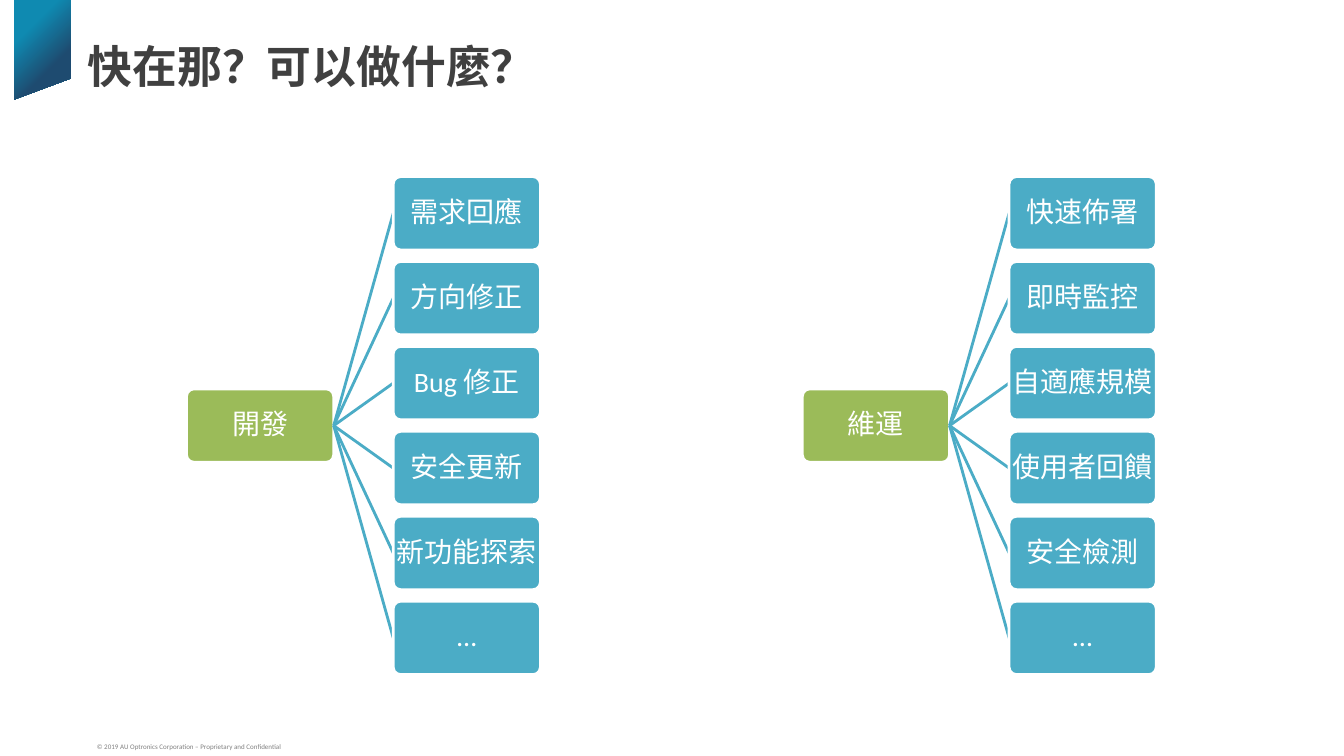
from lxml import etree
from pptx import Presentation
from pptx.dml.color import RGBColor
from pptx.enum import shapes, text
from pptx.oxml import ns
from pptx.util import Cm, Pt

WHITE = RGBColor(0xFF, 0xFF, 0xFF)
GREEN = RGBColor(0x9B, 0xBB, 0x59)
TEAL = RGBColor(0x4B, 0xAC, 0xC6)
BRIGHT_BLUE = RGBColor(0x0F, 0x8A, 0xB1)
DARK_BLUE = RGBColor(0x1E, 0x4B, 0x70)
TITLE_GREY = RGBColor(0x40, 0x40, 0x40)
FOOTER_GREY = RGBColor(0x80, 0x80, 0x80)

BOX_WIDTH, BOX_HEIGHT = 3.71, 1.85
TOP, ROW_STEP = 4.45, 2.14
BRANCH_OFFSET = 5.21

TREES = [
    (4.7, "開發", ["需求回應", "方向修正", "Bug 修正", "安全更新", "新功能探索", "…"]),
    (20.22, "維運", ["快速佈署", "即時監控", "自適應規模", "使用者回饋", "安全檢測", "…"]),
]


def write(shape, wording, size, color, spacing=1.0, bold=False):
    """Put one paragraph of Calibri text in the shape and return it."""
    shape.text_frame.word_wrap = True
    paragraph = shape.text_frame.paragraphs[0]
    paragraph.text = wording
    paragraph.line_spacing = spacing
    for name, value in {"name": "Calibri", "size": Pt(size), "bold": bold}.items():
        setattr(paragraph.font, name, value)
    paragraph.font.color.rgb = color
    return paragraph


def add_box(left, top, wording, color):
    box = slide.shapes.add_shape(
        shapes.MSO_SHAPE.ROUNDED_RECTANGLE,
        Cm(left), Cm(top), Cm(BOX_WIDTH), Cm(BOX_HEIGHT))
    box.adjustments[0] = 0.1
    box.shadow.inherit = False
    box.fill.solid()
    box.fill.fore_color.rgb = color
    box.line.color.rgb = WHITE
    box.line.width = Pt(2)
    for side in ("left", "top", "right", "bottom"):
        setattr(box.text_frame, f"margin_{side}", Cm(0.03))
    box.text_frame.vertical_anchor = text.MSO_ANCHOR.MIDDLE
    write(box, wording, 20, WHITE, 0.9).alignment = text.PP_ALIGN.CENTER
    return box


presentation = Presentation()
presentation.slide_width, presentation.slide_height = Cm(33.87), Cm(19.05)
slide = presentation.slides.add_slide(presentation.slide_layouts[6])

footer = slide.shapes.add_textbox(Cm(2.24), Cm(18.47), Cm(12.7), Cm(0.58))
footer.text_frame.margin_left = footer.text_frame.margin_right = Cm(0.2)
footer.text_frame.vertical_anchor = text.MSO_ANCHOR.BOTTOM
write(footer, "© 2019 AU Optronics Corporation – Proprietary and Confidential",
      5, FOOTER_GREY, 0.8)

builder = slide.shapes.build_freeform(Cm(0.36), Cm(-0.23))
builder.add_line_segments(
    [(Cm(1.78), Cm(-0.23)), (Cm(1.78), Cm(1.98)), (Cm(0.36), Cm(2.51))])
ribbon = builder.convert_to_shape()
ribbon.shadow.inherit = False
ribbon.line.fill.background()
ribbon.fill.gradient()
ribbon.fill.gradient_angle = 315
for stop, position, color in zip(
        ribbon.fill.gradient_stops, (0.32, 0.7), (BRIGHT_BLUE, DARK_BLUE)):
    stop.position = position
    stop.color.rgb = color

title = slide.shapes.add_textbox(Cm(1.96), Cm(0.86), Cm(27.48), Cm(4.34))
write(title, "快在那？可以做什麼？", 32, TITLE_GREY, bold=True)

for left, topic, branches in TREES:
    middle_top = TOP + ROW_STEP * (len(branches) - 1) / 2
    root = add_box(left, middle_top, topic, GREEN)
    for row, branch in enumerate(branches):
        box = add_box(left + BRANCH_OFFSET, TOP + row * ROW_STEP, branch, TEAL)
        link = slide.shapes.add_connector(shapes.MSO_CONNECTOR.STRAIGHT, 0, 0, 0, 0)
        link.begin_connect(root, 3)
        link.end_connect(box, 1)
        link.line.color.rgb = TEAL
        link.line.width = Pt(2)
        etree.SubElement(link._element.spPr, ns.qn("a:effectLst"))
        # The white box outline covers the end of the link.
        box._element.addprevious(link._element)

presentation.save("out.pptx")
